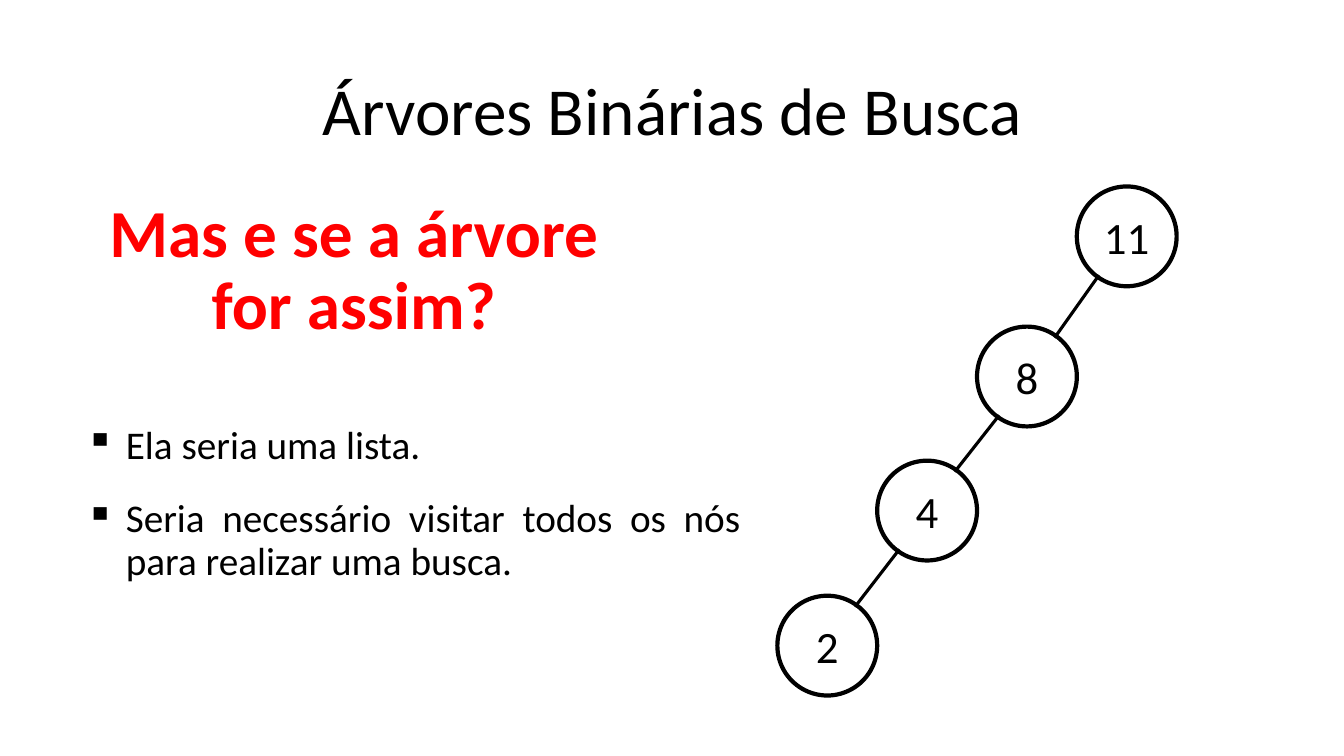
from itertools import pairwise
from lxml import etree
from pptx import Presentation
from pptx.dml.color import RGBColor
from pptx.enum import shapes, text
from pptx.oxml.ns import qn
from pptx.util import Inches, Pt

BLACK, RED, WHITE = "000000", "FF0000", "FFFFFF"
DIAMETER = 0.99
EDGE_DX, EDGE_DY = 0.275, 0.385
NODES = [("11", 10.68, 1.85), ("8", 9.69, 3.24), ("4", 8.7, 4.57), ("2", 7.71, 5.91)]


def color(value):
    return RGBColor.from_string(value)


def add_run(paragraph, words, size, ink=BLACK, bold=False):
    run = paragraph.add_run()
    run.text = words
    run.font.name = "Calibri"
    run.font.size = Pt(size)
    run.font.bold = bold
    run.font.color.rgb = color(ink)


def add_frame(slide, left, top, width, height, anchor):
    frame = slide.shapes.add_textbox(
        Inches(left), Inches(top), Inches(width), Inches(height)).text_frame
    frame.word_wrap = True
    frame.vertical_anchor = anchor
    return frame


def add_heading(slide, words, box, ink=BLACK, bold=False, before=0):
    frame = add_frame(slide, *box, text.MSO_ANCHOR.MIDDLE)
    heading = frame.paragraphs[0]
    heading.alignment = text.PP_ALIGN.CENTER
    heading.line_spacing = 0.9
    heading.space_before = Pt(before)
    add_run(heading, words, 48, ink, bold)


def add_bullet(paragraph, words, alignment, after):
    paragraph.alignment = alignment
    paragraph.line_spacing = 0.9
    paragraph.space_before = Pt(10)
    paragraph.space_after = Pt(after)
    properties = paragraph._p.get_or_add_pPr()
    properties.set("marL", str(Inches(0.4)))
    properties.set("indent", str(Inches(-0.4)))
    etree.SubElement(properties, qn("a:buChar"), char="▪")
    add_run(paragraph, words, 28)


def add_node(slide, key, left, top):
    node = slide.shapes.add_shape(
        shapes.MSO_SHAPE.OVAL, Inches(left), Inches(top), Inches(DIAMETER), Inches(DIAMETER))
    node.shadow.inherit = False
    node.fill.solid()
    node.fill.fore_color.rgb = color(WHITE)
    node.line.color.rgb = color(BLACK)
    node.line.width = Pt(3)
    node.text_frame.vertical_anchor = text.MSO_ANCHOR.MIDDLE
    label = node.text_frame.paragraphs[0]
    label.alignment = text.PP_ALIGN.CENTER
    add_run(label, key, 32)


def add_edge(slide, parent, child):
    radius = DIAMETER / 2
    (_, parent_x, parent_y), (_, child_x, child_y) = parent, child
    edge = slide.shapes.add_connector(
        shapes.MSO_CONNECTOR.STRAIGHT,
        Inches(parent_x + radius - EDGE_DX), Inches(parent_y + radius + EDGE_DY),
        Inches(child_x + radius + EDGE_DX), Inches(child_y + radius - EDGE_DY))
    edge.line.color.rgb = color(BLACK)
    edge.line.width = Pt(2.25)
    etree.SubElement(edge._element.spPr, qn("a:effectLst"))


def main():
    deck = Presentation()
    deck.slide_width, deck.slide_height = Inches(13.33), Inches(7.5)
    slide = deck.slides.add_slide(deck.slide_layouts[6])

    add_heading(slide, "Árvores Binárias de Busca", (0.92, 0.4, 11.5, 1.45))
    for node in NODES:
        add_node(slide, *node)
    for parent, child in pairwise(NODES):
        add_edge(slide, parent, child)
    add_heading(slide, "Mas e se a árvore for assim?", (0.92, 1.85, 5.18, 1.69), RED, True, 10)

    answers = add_frame(slide, 0.75, 3.84, 6.69, 2.57, text.MSO_ANCHOR.BOTTOM)
    answers.margin_bottom = Inches(0.62)
    add_bullet(answers.paragraphs[0], "Ela seria uma lista.", text.PP_ALIGN.LEFT, 12)
    add_bullet(answers.add_paragraph(),
               "Seria necessário visitar todos os nós para realizar uma busca.",
               text.PP_ALIGN.JUSTIFY, 0)
    deck.save("out.pptx")


main()
